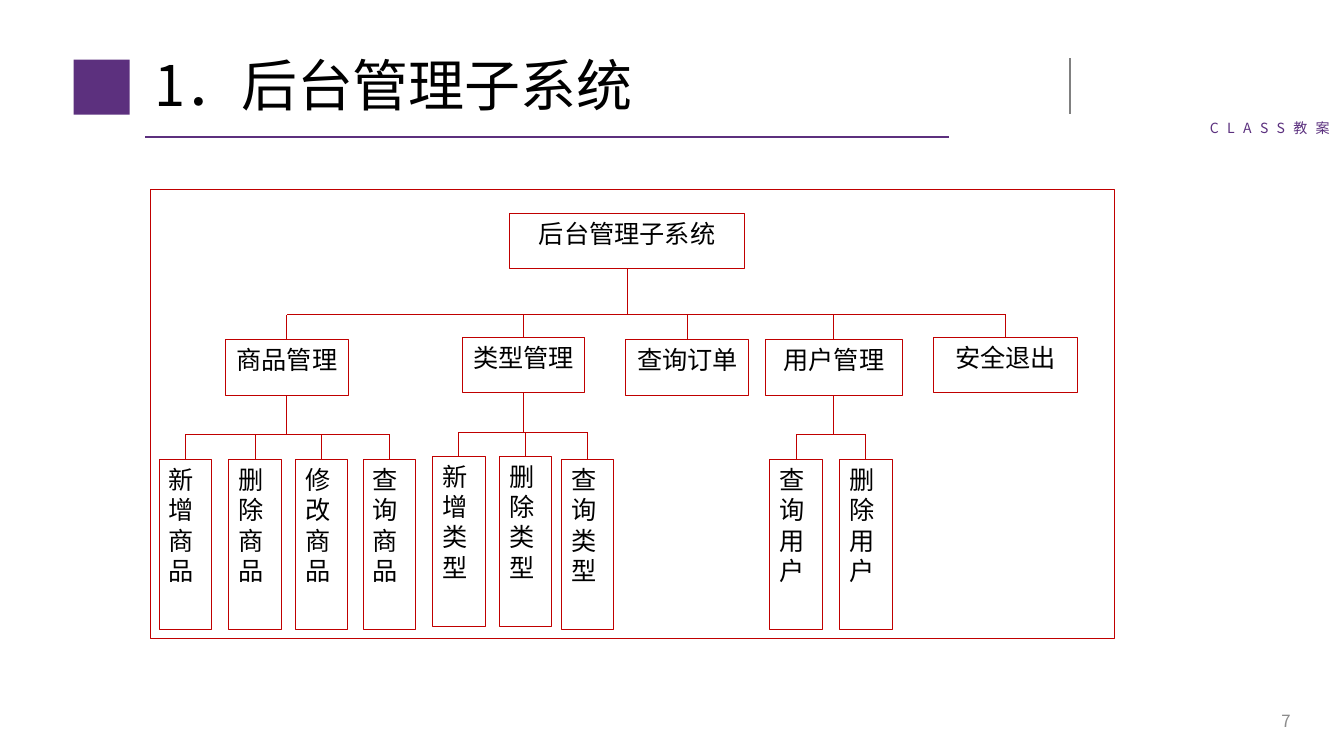
from lxml import etree
from pptx import Presentation
from pptx.dml.color import RGBColor
from pptx.enum.shapes import MSO_CONNECTOR, MSO_SHAPE
from pptx.enum.text import MSO_ANCHOR, PP_ALIGN
from pptx.oxml.ns import qn
from pptx.util import Pt

RECT = MSO_SHAPE.RECTANGLE
STRAIGHT = MSO_CONNECTOR.STRAIGHT
TOP, MIDDLE = MSO_ANCHOR.TOP, MSO_ANCHOR.MIDDLE
LEFT, CENTER, RIGHT = PP_ALIGN.LEFT, PP_ALIGN.CENTER, PP_ALIGN.RIGHT
TOP_SIDE, BOTTOM_SIDE = 0, 2

PURPLE, RED, GRAY = "5C307E", "C00000", "808080"
SANS, SERIF = "Noto Sans CJK SC", "Times New Roman"
BRANCH_HEIGHT, LEAF_WIDTH, LEAF_HEIGHT = 39.6, 37.5, 121.4
BRANCH_BUS_Y = 224.7

# Branch: text, left, top, width, bus height below it, leaves (text, left, top)
BRANCHES = [
    ("商品管理", 161.2, 242.6, 87.5, 310.3,
     [("新增商品", 113.6, 328.2), ("删除商品", 163.5, 328.2),
      ("修改商品", 210.8, 328.2), ("查询商品", 259.3, 328.2)]),
    ("类型管理", 330.3, 240.9, 87.5, 308.9,
     [("新增类型", 309, 325.8), ("删除类型", 356.6, 325.8),
      ("查询类型", 400.9, 328.2)]),
    ("查询订单", 447.1, 242.6, 87.8, None, []),
    ("用户管理", 546.6, 242.6, 98, 310.3,
     [("查询用户", 549.9, 328.2), ("删除用户", 599.8, 328.2)]),
    ("安全退出", 666.6, 240.9, 103.4, None, []),
]


def color(hex_value):
    return RGBColor.from_string(hex_value)


def write(shape, text, size, font_name, hex_value, align, anchor, spacing=0):
    frame = shape.text_frame
    frame.word_wrap = True
    frame.vertical_anchor = anchor
    paragraph = frame.paragraphs[0]
    paragraph.text = text
    paragraph.alignment = align
    font = paragraph.font
    font.size = Pt(size)
    font.color.rgb = color(hex_value)
    font.name = font_name
    # East Asian typeface and letter spacing
    properties = font._element
    etree.SubElement(properties, qn("a:ea")).set("typeface", SANS)
    if spacing:
        paragraph.runs[0].font._element.set("spc", str(spacing * 100))
    return paragraph


def add_label(slide, box, text, size, hex_value, align, anchor, spacing=0):
    label = slide.shapes.add_textbox(*map(Pt, box))
    return write(label, text, size, SANS, hex_value, align, anchor, spacing)


def add_rect(slide, box, fill=None, line=None):
    rect = slide.shapes.add_shape(RECT, *map(Pt, box))
    rect.shadow.inherit = False
    if fill:
        rect.fill.solid()
        rect.fill.fore_color.rgb = color(fill)
    else:
        rect.fill.background()
    if line:
        rect.line.color.rgb = color(line)
        rect.line.width = Pt(0.75)
    else:
        rect.line.fill.background()
    return rect


def add_node(slide, box, text, align=CENTER):
    node = add_rect(slide, box, "FFFFFF", RED)
    write(node, text, 18, SERIF, "000000", align, TOP)
    return node


def add_line(slide, x1, y1, x2, y2, hex_value=RED, width=0.75):
    line = slide.shapes.add_connector(STRAIGHT, *map(Pt, (x1, y1, x2, y2)))
    line.line.color.rgb = color(hex_value)
    line.line.width = Pt(width)
    etree.SubElement(line._element.spPr, qn("a:effectLst"))
    return line


def center_x(node):
    return (node.left + node.width / 2) / Pt(1)


def add_stub(slide, node, side, bus_y):
    """Vertical line from the middle of a node's side to a bus."""
    x = center_x(node)
    stub = add_line(slide, x, bus_y, x, bus_y)
    stub.begin_connect(node, side)


def link_children(slide, parent, children, bus_y):
    add_stub(slide, parent, BOTTOM_SIDE, bus_y)
    add_line(slide, center_x(children[0]), bus_y, center_x(children[-1]), bus_y)
    for child in children:
        add_stub(slide, child, TOP_SIDE, bus_y)


def add_header(slide):
    add_rect(slide, (52.6, 42.6, 40, 39.4), fill=PURPLE)
    add_line(slide, 103.6, 97.9, 678, 97.9, PURPLE, 1.5)
    add_line(slide, 764.2, 41.6, 764.2, 81.4, GRAY, 1)
    add_label(slide, (854, 82, 106, 19.4), "CLASS教案", 10, "5B307E",
              CENTER, TOP, spacing=6)
    title = add_label(slide, (103, 28.8, 647, 69), "1．后台管理子系统", 40,
                      "000000", LEFT, MIDDLE)
    title.line_spacing = 0.9


def add_system_tree(slide):
    add_rect(slide, (107.8, 135.4, 688.3, 320.4), line=RED)
    root = add_node(slide, (364, 152.4, 167.8, 39.6), "后台管理子系统")
    branches = []
    for text, left, top, width, bus_y, leaves in BRANCHES:
        branch = add_node(slide, (left, top, width, BRANCH_HEIGHT), text)
        branches.append(branch)
        leaf_nodes = [
            add_node(slide, (x, y, LEAF_WIDTH, LEAF_HEIGHT), leaf, LEFT)
            for leaf, x, y in leaves
        ]
        if leaf_nodes:
            link_children(slide, branch, leaf_nodes, bus_y)
    link_children(slide, root, branches, BRANCH_BUS_Y)


def main():
    deck = Presentation()
    deck.slide_width, deck.slide_height = Pt(960), Pt(540)
    slide = deck.slides.add_slide(deck.slide_layouts[6])

    # Title band
    add_header(slide)
    # Module hierarchy
    add_system_tree(slide)
    # Page number
    add_label(slide, (713, 500.5, 216, 28.8), "7", 12, "8C8C8C", RIGHT, MIDDLE)

    deck.save("out.pptx")


if __name__ == "__main__":
    main()
